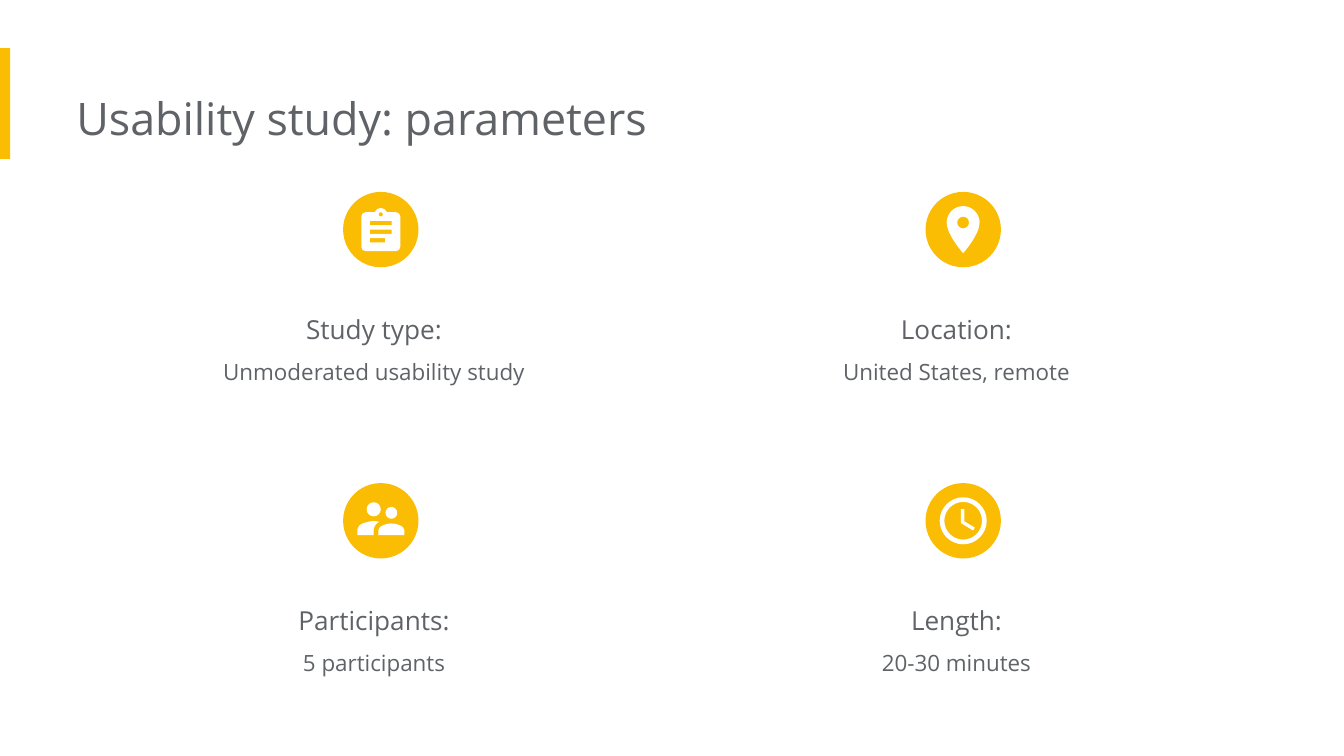
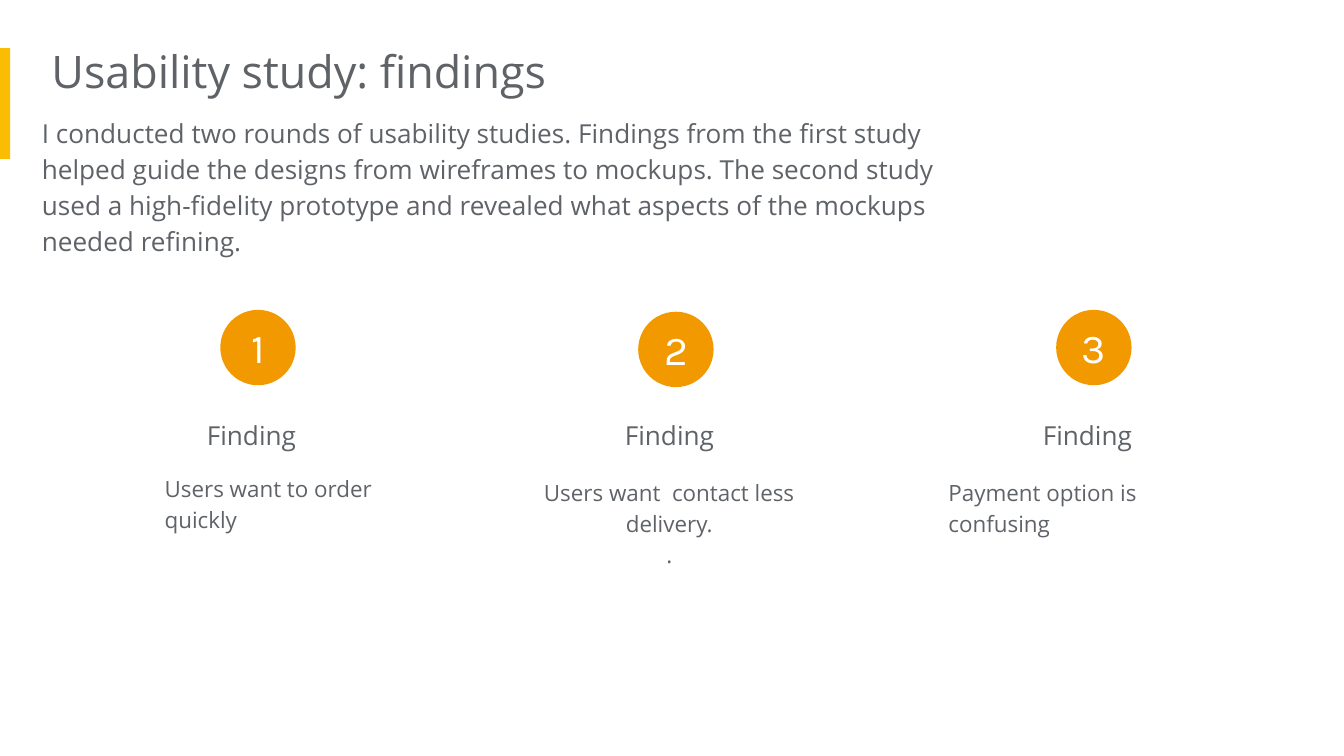
from pptx import Presentation
from pptx.dml.color import RGBColor
from pptx.enum.shapes import MSO_SHAPE
from pptx.enum.text import MSO_ANCHOR, MSO_AUTO_SIZE, PP_ALIGN
from pptx.oxml.ns import qn
from pptx.oxml.xmlchemy import OxmlElement
from pptx.util import Pt

RECT, OVAL = MSO_SHAPE.RECTANGLE, MSO_SHAPE.OVAL
LEFT, CENTER = PP_ALIGN.LEFT, PP_ALIGN.CENTER
MIDDLE, GROW = MSO_ANCHOR.MIDDLE, MSO_AUTO_SIZE.SHAPE_TO_FIT_TEXT

YELLOW = RGBColor(0xFB, 0xBC, 0x04)
ORANGE = RGBColor(0xF2, 0x99, 0x00)
GRAY = RGBColor(0x5F, 0x63, 0x68)
WHITE = RGBColor(0xFF, 0xFF, 0xFF)

FONT, DIGIT = "Open Sans", "Karla"
DISC = 40.4  # diameter of every round badge


# Icon outlines on a 24-unit grid: two numbers a corner, six a curve
def ring(x, y, r):
    k = 0.55 * r
    return [(x, y - r),
            (x - k, y - r, x - r, y - k, x - r, y),
            (x - r, y + k, x - k, y + r, x, y + r),
            (x + k, y + r, x + r, y + k, x + r, y),
            (x + r, y - k, x + k, y - r, x, y - r)]


def bar(x, y, w, h):
    return [(x, y), (x + w, y), (x + w, y + h), (x, y + h), (x, y)]


BOARD = [
    [(19, 3), (14.82, 3), (14.4, 1.84, 13.3, 1, 12, 1),
     (10.7, 1, 9.6, 1.84, 9.18, 3), (5, 3), (3.9, 3, 3, 3.9, 3, 5),
     (3, 19), (3, 20.1, 3.9, 21, 5, 21), (19, 21),
     (20.1, 21, 21, 20.1, 21, 19), (21, 5), (21, 3.9, 20.1, 3, 19, 3)],
    ring(12, 4, 1), bar(7, 15, 7, 2), bar(7, 11, 10, 2), bar(7, 7, 10, 2),
]
PIN = [
    [(12, 2), (8.13, 2, 5, 5.13, 5, 9), (5, 14.25, 12, 22, 12, 22),
     (12, 22, 19, 14.25, 19, 9), (19, 5.13, 15.87, 2, 12, 2)],
    ring(12, 9, 2.5),
]
PEOPLE = [
    ring(16.5, 9.5, 2.5), ring(9, 8, 3),
    [(16.5, 14), (14.67, 14, 11, 14.92, 11, 16.75), (11, 19), (22, 19),
     (22, 16.75), (22, 14.92, 18.33, 14, 16.5, 14)],
    [(9, 13), (6.67, 13, 2, 14.17, 2, 16.5), (2, 19), (9, 19),
     (9, 16.75), (9, 15.9, 9.33, 14.41, 11.37, 13.28),
     (10.5, 13.1, 9.66, 13, 9, 13)],
]
CLOCK = [
    ring(12, 12, 10), ring(12, 12, 8),
    [(11, 7), (11, 13), (16.25, 16.15), (17, 14.92), (12.5, 12.25),
     (12.5, 7), (11, 7)],
]


class Deck:
    """Holds the shared style and the current slide."""

    def __init__(self):
        self.prs = Presentation()
        self.prs.slide_width, self.prs.slide_height = Pt(720), Pt(405)

    def page(self, title, x, y):
        self.slide = self.prs.slides.add_slide(self.prs.slide_layouts[6])
        self.shape(RECT, 0, 25.8, 5.5, 59.4, YELLOW)
        self.text(x, y, 484.5, 44, [(title, 24)])

    def paint(self, shape, fill):
        shape.shadow.inherit = False
        shape.fill.solid()
        shape.fill.fore_color.rgb = fill
        shape.line.fill.background()
        return shape

    def shape(self, kind, x, y, w, h, fill):
        item = self.slide.shapes.add_shape(kind, Pt(x), Pt(y), Pt(w), Pt(h))
        return self.paint(item, fill)

    def style(self, para, size, color, font=FONT, align=LEFT):
        para.alignment = align
        for run in para.runs:
            run.font.size, run.font.name = Pt(size), font
            run.font.color.rgb = color

    def text(self, x, y, w, h, lines, align=LEFT, space=1.0):
        box = self.slide.shapes.add_textbox(Pt(x), Pt(y), Pt(w), Pt(h))
        frame = box.text_frame
        frame.word_wrap, frame.auto_size = True, GROW
        frame.margin_left = 0
        frame.margin_top = frame.margin_right = frame.margin_bottom = Pt(7.2)
        frame.text = "\n".join(words for words, _ in lines)
        for para, (_, size) in zip(frame.paragraphs, lines):
            self.style(para, size, GRAY, align=align)
            para.line_spacing = space

    def disc(self, x, y, fill, label=""):
        item = self.shape(OVAL, x, y, DISC, DISC, fill)
        if label:
            frame = item.text_frame
            frame.margin_left = frame.margin_right = 0
            frame.margin_top = frame.margin_bottom = 0
            frame.vertical_anchor = MIDDLE
            frame.text = label
            self.style(frame.paragraphs[0], 22, WHITE, DIGIT, CENTER)

    def icon(self, x, y, outlines, unit, mid):
        """Put grid point 12, mid at x, y."""
        def place(part):
            return [(Pt(x + (a - 12) * unit), Pt(y + (b - mid) * unit))
                    for a, b in zip(part[::2], part[1::2])]

        pen = None
        for start, *parts in outlines:
            spot = place(start)[0]
            if pen is None:
                pen = self.slide.shapes.build_freeform(*spot)
            else:
                pen.move_to(*spot)
            pen.add_line_segments([p for part in parts for p in place(part)])
        item = self.paint(pen.convert_to_shape(), WHITE)
        # Merge the three points of each curve into one Bezier segment
        steps = iter(list(item.element.iter(qn("a:lnTo"))))
        for _, *parts in outlines:
            for part in parts:
                first = next(steps)
                if len(part) == 6:
                    curve = OxmlElement("a:cubicBezTo")
                    first.addprevious(curve)
                    for step in (first, next(steps), next(steps)):
                        curve.append(step[0])
                        step.getparent().remove(step)


def study(deck):
    deck.page("Usability study: parameters", 40.9, 41.4)
    cards = [
        ("Study type:", "Unmoderated usability study", BOARD, 1.16, 11),
        ("Location:", "United States, remote", PIN, 1.26, 12),
        ("Participants:", "5 participants", PEOPLE, 1.26, 12.85),
        ("Length:", "20-30 minutes", CLOCK, 1.26, 12),
    ]
    # Two by two grid of cards
    for i, (head, note, outlines, unit, mid) in enumerate(cards):
        row, col = divmod(i, 2)
        x, y = 68.3 + 312 * col, 102.8 + 156 * row
        deck.text(x, y + 49.5, 271.4, 54.7, [(head, 14), (note, 12)],
                  CENTER, 1.5)
        deck.disc(x + 115.5, y, YELLOW)
        deck.icon(x + 115.5 + DISC / 2, y + DISC / 2, outlines, unit, mid)


def findings(deck):
    deck.page("Usability study: findings", 27.6, 16.2)
    deck.text(22.4, 53.3, 511, 112, [(
        "I conducted two rounds of usability studies. Findings from the "
        "first study helped guide the designs from wireframes to mockups. "
        "The second study used a high-fidelity prototype and revealed what "
        "aspects of the mockups needed refining.", 14)], space=1.15)
    # Each finding: disc top, then note lines, left, top, size, alignment
    notes = [
        (166, ["Users want to order quickly"], 88.2, 245, 128, 48, LEFT),
        (167, ["Users want  contact less delivery.", "."],
         284.1, 247.5, 156, 65, CENTER),
        (166, ["Payment option is confusing"], 508.1, 247.5, 156, 48, LEFT),
    ]
    for i, (top, lines, x, y, w, h, align) in enumerate(notes):
        left = 64.5 + 223.9 * i
        deck.text(left, 209.1, 147.6, 31.7, [("Finding", 14)], CENTER, 1.5)
        deck.text(x, y, w, h, [(line, 12) for line in lines], align, 1.15)
        deck.disc(left + 53.5, top, ORANGE, str(i + 1))


def main():
    deck = Deck()
    study(deck)
    findings(deck)
    deck.prs.save("out.pptx")


if __name__ == "__main__":
    main()
